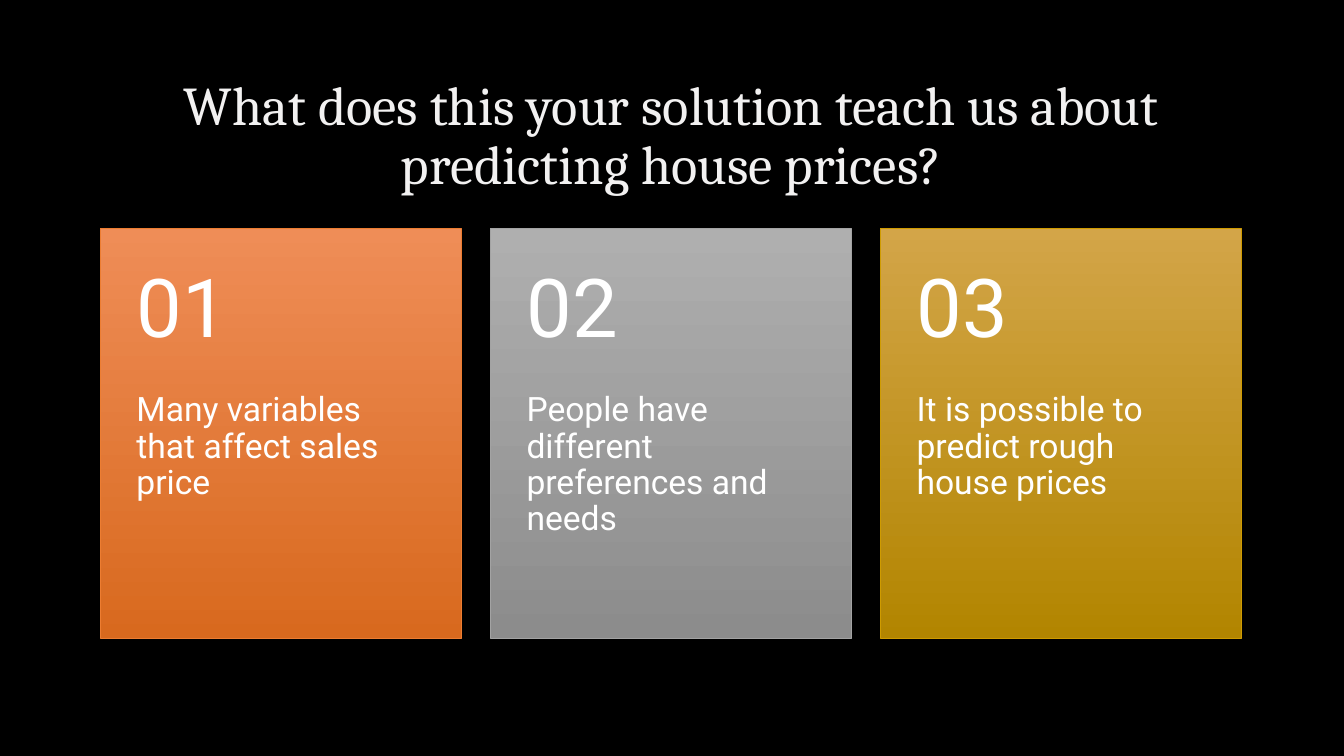
import pptx
import pptx.dml.color
import pptx.enum.shapes
import pptx.enum.text
import pptx.util
from pptx.util import Cm

COLORS = {"background": "000000", "title": "F2F1F1", "card_text": "FFFFFF"}
CARDS = [
    ("Many variables that affect sales price",
     {"top": "EF8D57", "bottom": "D8691E", "line": "ED7D31"}),
    ("People have different preferences and needs",
     {"top": "AFAFAF", "bottom": "8C8C8C", "line": "A3A3A3"}),
    ("It is possible to predict rough house prices",
     {"top": "D3A548", "bottom": "B28500", "line": "CF9B00"}),
]
LEFT, TOP = Cm(2.54), Cm(5.77)
CARD_W, CARD_H, PITCH = Cm(9.09), Cm(10.31), Cm(9.83)
NUMBER_H = Cm(4.13)
SIDE_INSET = Cm(0.9)


def rgb(value):
    return pptx.dml.color.RGBColor.from_string(value)


def add_text(s, box, text, font, size, color, anchor):
    """Add a wrapped one-paragraph text box and return its text frame."""
    tf = s.shapes.add_textbox(*box).text_frame
    tf.word_wrap = True
    tf.vertical_anchor = anchor
    p = tf.paragraphs[0]
    p.text = text
    p.line_spacing = 0.9
    p.font.name = font
    p.font.size = pptx.util.Pt(size)
    p.font.color.rgb = rgb(color)
    return tf


prs = pptx.Presentation()
prs.slide_width, prs.slide_height = Cm(33.87), Cm(19.05)
s = prs.slides.add_slide(prs.slide_layouts[6])
s.background.fill.solid()
s.background.fill.fore_color.rgb = rgb(COLORS["background"])

MIDDLE = pptx.enum.text.MSO_ANCHOR.MIDDLE
tf = add_text(s, (LEFT, Cm(1.7), Cm(28.75), Cm(3.5)),
              "What does this your solution teach us about predicting house prices?",
              "Cambria", 39, COLORS["title"], MIDDLE)
tf.paragraphs[0].alignment = pptx.enum.text.PP_ALIGN.CENTER

for i, (text, card_colors) in enumerate(CARDS):
    x = LEFT + i * PITCH
    sp = s.shapes.add_shape(pptx.enum.shapes.MSO_SHAPE.RECTANGLE, x, TOP, CARD_W, CARD_H)
    sp.shadow.inherit = False
    sp.fill.gradient()
    sp.fill.gradient_angle = 270
    for stop, name in zip(sp.fill.gradient_stops, ("top", "bottom")):
        stop.color.rgb = rgb(card_colors[name])
    sp.line.color.rgb = rgb(card_colors["line"])
    sp.line.width = pptx.util.Pt(0.75)

    body = add_text(s, (x, TOP + NUMBER_H, CARD_W, CARD_H - NUMBER_H), text,
                    "Roboto", 24, COLORS["card_text"], pptx.enum.text.MSO_ANCHOR.TOP)
    body.margin_top, body.margin_bottom = 0, Cm(0.9)
    number = add_text(s, (x, TOP, CARD_W, NUMBER_H), f"{i + 1:02}",
                      "Roboto", 58, COLORS["card_text"], MIDDLE)
    number.margin_top = number.margin_bottom = Cm(0.45)
    for tf in (body, number):
        tf.margin_left = tf.margin_right = SIDE_INSET

prs.save("out.pptx")
